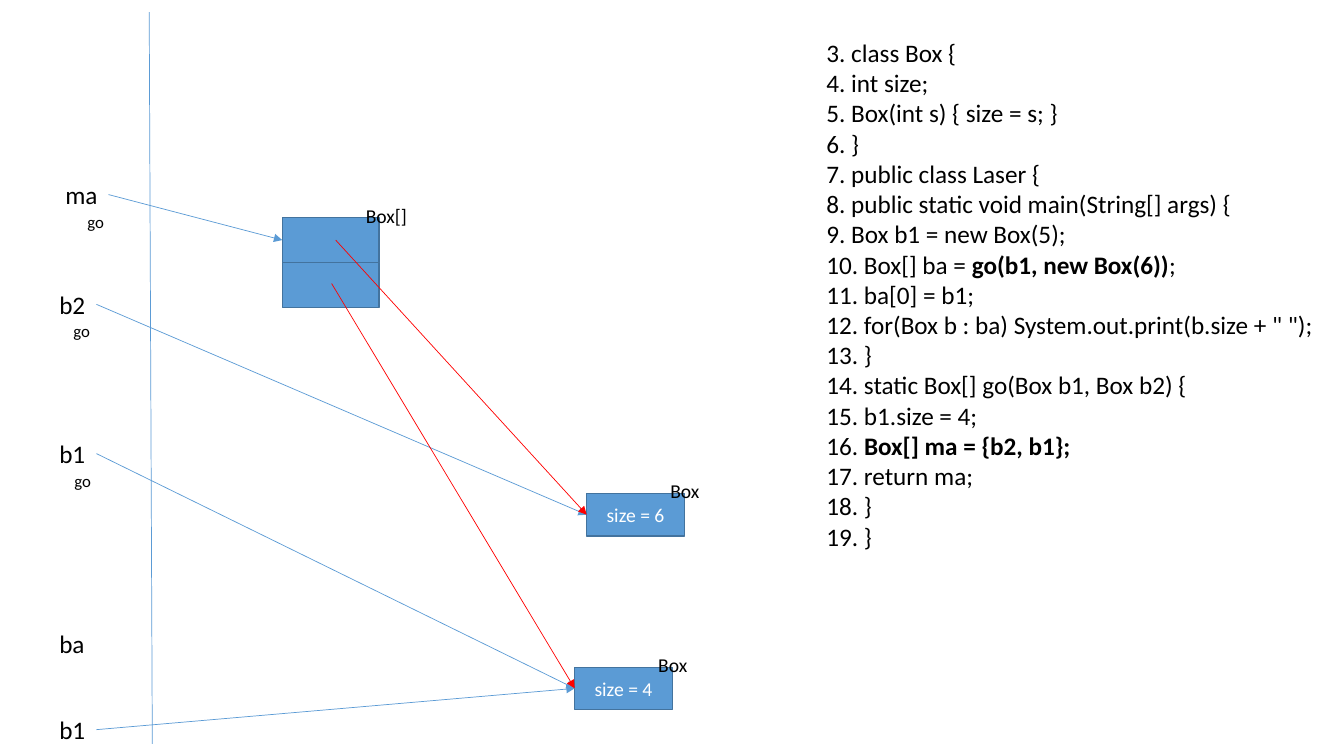
from lxml.etree import SubElement
from pptx import Presentation
from pptx.dml.color import RGBColor
from pptx.enum.shapes import MSO_CONNECTOR, MSO_SHAPE
from pptx.enum.text import MSO_ANCHOR, MSO_AUTO_SIZE, PP_ALIGN
from pptx.oxml.ns import qn
from pptx.util import Pt

COLORS = {"blue": "5B9BD5", "edge": "43739E", "red": "FF0000",
          "black": "000000", "white": "FFFFFF"}
FONT = "Calibri"

# Each line is a list of pieces; every second piece is bold
CODE = [
    ["3. class Box {"],
    ["4. int size;"],
    ["5. Box(int s) { size = s; }"],
    ["6. }"],
    ["7. public class Laser {"],
    ["8. public static void main(String[] args) {"],
    ["9. Box b1 = new Box(5);"],
    ["10. Box[] ba = ", "go(b1, new Box(6))", ";"],
    ["11. ba[0] = b1;"],
    ['12. for(Box b : ba) System.out.print(b.size + " ");'],
    ["13. }"],
    ["14. static Box[] go(Box b1, Box b2) {"],
    ["15. b1.size = 4;"],
    ["16. ", "Box[] ma = {b2, b1};"],
    ["17. return ma;"],
    ["18. }"],
    ["19. }"],
]


def rgb(name):
    return RGBColor.from_string(COLORS[name])


def style(r, size, color="black", bold=False):
    r.font.name, r.font.size, r.font.bold = FONT, Pt(size), bold
    r.font.color.rgb = rgb(color)


def text_box(s, x, y, w, h, lines, size):
    tf = s.shapes.add_textbox(Pt(x), Pt(y), Pt(w), Pt(h)).text_frame
    tf.word_wrap = False
    tf.auto_size = MSO_AUTO_SIZE.SHAPE_TO_FIT_TEXT
    for i, pieces in enumerate(lines):
        p = tf.add_paragraph() if i else tf.paragraphs[0]
        for k, piece in enumerate(pieces):
            r = p.add_run()
            r.text = piece
            style(r, size, bold=k % 2 == 1)


def rect(s, x, y, w, h, text=""):
    sp = s.shapes.add_shape(MSO_SHAPE.RECTANGLE, Pt(x), Pt(y), Pt(w), Pt(h))
    sp.shadow.inherit = False
    sp.fill.solid()
    sp.fill.fore_color.rgb = rgb("blue")
    sp.line.color.rgb = rgb("edge")
    sp.line.width = Pt(1)
    if text:
        tf = sp.text_frame
        tf.text = text
        tf.vertical_anchor = MSO_ANCHOR.MIDDLE
        p = tf.paragraphs[0]
        p.alignment = PP_ALIGN.CENTER
        style(p.runs[0], 14, "white")


def line(s, start, end, color="blue", arrow=True):
    c = s.shapes.add_connector(MSO_CONNECTOR.STRAIGHT,
                               *(Pt(v) for v in (*start, *end)))
    c.line.color.rgb = rgb(color)
    c.line.width = Pt(0.5)
    if arrow:
        SubElement(c.line._get_or_add_ln(), qn("a:tailEnd"), type="triangle")
    SubElement(c._element.spPr, qn("a:effectLst"))


def variable(s, x, y, w, name, go_dx=None):
    """Stack variable; returns the point where its arrow starts."""
    text_box(s, x, y, w, 29, [[name]], 18)
    if go_dx is not None:
        text_box(s, x + go_dx, y + 22.8, 26.6, 21.6, [["go"]], 12)
    return x + w + 0.5, y + 14.4


def heap_object(s, x, y, w, h, text):
    """Box instance; returns the point where arrows arrive."""
    rect(s, x, y, w, h, text)
    text_box(s, x + 52.6, y - 14, 35.3, 24.5, [["Box"]], 14)
    return x, y + h / 2


def array_object(s, x, y, w, h):
    """Two-cell array; returns its entry point and one start per cell."""
    rect(s, x, y, w, h)
    text_box(s, x + 52.6, y - 13.7, 43.9, 24.5, [["Box[]"]], 14)
    rect(s, x, y + h, w, h)
    return (x, y + h / 2), (x + 38.2, y + h / 2), (x + 35.3, y + 1.47 * h)


def memory_diagram(s, x, y, h):
    # Divider between stack and heap
    line(s, (x + 71.3, y), (x + 73.5, y + h), arrow=False)

    # Heap
    box4 = heap_object(s, x + 375.2, y + 468, 69.8, 30.2, "size = 4")
    box6 = heap_object(s, x + 383.8, y + 344, 69.8, 30.2, "size = 6")
    entry, cell0, cell1 = array_object(s, x + 166.3, y + 146.9, 69.1, 32)

    # Stack
    main_b1 = variable(s, x, y + 498.2, 33.1, "b1")
    variable(s, x, y + 436.3, 33.1, "ba")
    go_b1 = variable(s, x, y + 301, 33.1, "b1", 10.8)
    go_b2 = variable(s, x, y + 194.4, 33.1, "b2", 10.1)
    go_ma = variable(s, x + 4.3, y + 116, 37.4, "ma", 15.8)

    # References
    for start, end, color in [
        (main_b1, box4, "blue"), (go_b1, box4, "blue"),
        (go_b2, box6, "blue"), (cell0, box6, "red"),
        (cell1, box4, "red"), (go_ma, entry, "blue"),
    ]:
        line(s, start, end, color)


def code_listing(s, x, y, w, h):
    text_box(s, x, y, w, h, CODE, 18)


prs = Presentation()
prs.slide_width, prs.slide_height = Pt(960), Pt(540)
s = prs.slides.add_slide(prs.slide_layouts[6])
code_listing(s, 583.2, 23, 365.8, 422)
memory_diagram(s, 35.3, 8.6, 522.7)
prs.save("out.pptx")
